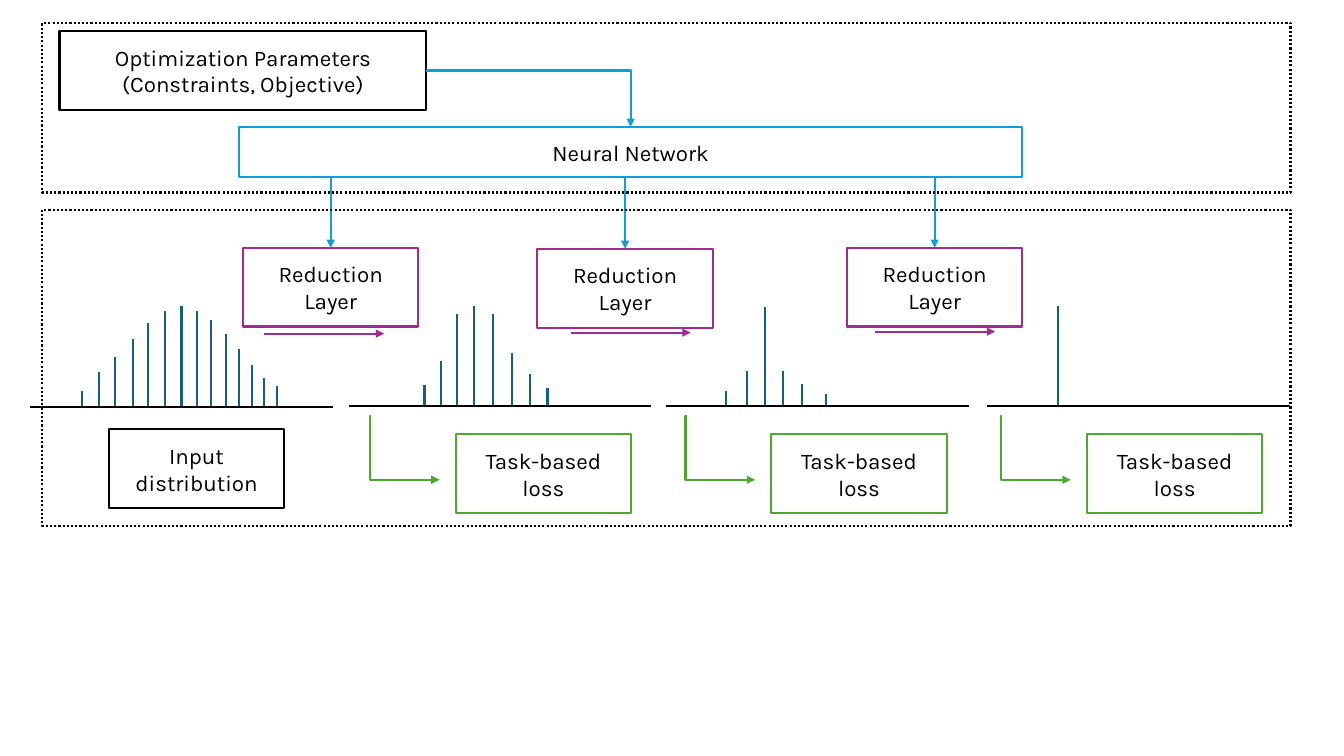
from lxml import etree
from pptx import Presentation
from pptx.dml.color import RGBColor
from pptx.enum.dml import MSO_LINE
from pptx.enum.shapes import MSO_CONNECTOR, MSO_SHAPE
from pptx.enum.text import MSO_ANCHOR, PP_ALIGN
from pptx.oxml.ns import qn
from pptx.util import Inches, Pt

BLACK = RGBColor(0x00, 0x00, 0x00)
WHITE = RGBColor(0xFF, 0xFF, 0xFF)
TEAL = RGBColor(0x15, 0x60, 0x82)
PURPLE = RGBColor(0xA0, 0x2B, 0x93)
GREEN = RGBColor(0x4E, 0xA7, 0x2E)
BLUE = RGBColor(0x0F, 0x9E, 0xD5)

BOX_WIDTH, BOX_HEIGHT = 1.74, 0.78
AXIS_LENGTH = 3
LOSS_STEP = 3.13

# Each distribution: axis left, axis height, and (x, top) of its bars
DISTRIBUTIONS = [
    (0.3, 4.04, [(0.81, 3.88), (0.98, 3.69), (1.14, 3.54), (1.32, 3.36), (1.47, 3.2),
                 (1.64, 3.09), (1.8, 3.04), (1.95, 3.09), (2.09, 3.17), (2.24, 3.31),
                 (2.37, 3.46), (2.5, 3.62), (2.62, 3.75), (2.75, 3.83)]),
    (3.46, 4.03, [(4.21, 3.82), (4.37, 3.58), (4.53, 3.12), (4.7, 3.04),
                  (4.89, 3.12), (5.08, 3.5), (5.26, 3.71), (5.43, 3.85)]),
    (6.61, 4.03, [(7.2, 3.88), (7.41, 3.68), (7.59, 3.05), (7.77, 3.68),
                  (7.95, 3.81), (8.19, 3.91)]),
    (9.79, 4.03, [(10.49, 3.04)]),
]
# Each reduction layer: box left, box top, arrow left, arrow height
REDUCTIONS = [(2.41, 2.46, 2.62, 3.31), (5.33, 2.47, 5.66, 3.3), (8.4, 2.46, 8.68, 3.29)]


class Diagram:
    font = "Karla"
    font_size = Pt(16)
    line_width = Pt(1.5)

    def __init__(self, slide):
        self.slide = slide

    def frame(self, left, top, width, height, color, fill=None):
        shape = self.slide.shapes.add_shape(
            MSO_SHAPE.RECTANGLE, Inches(left), Inches(top), Inches(width), Inches(height))
        shape.shadow.inherit = False
        if fill is None:
            shape.fill.background()
        else:
            shape.fill.solid()
            shape.fill.fore_color.rgb = fill
        shape.line.color.rgb = color
        shape.line.width = self.line_width
        return shape

    def box(self, text, left, top, color, width=BOX_WIDTH, height=BOX_HEIGHT, fill=WHITE):
        shape = self.frame(left, top, width, height, color, fill)
        shape.text_frame.word_wrap = True
        shape.text_frame.vertical_anchor = MSO_ANCHOR.MIDDLE
        paragraph = shape.text_frame.paragraphs[0]
        paragraph.text = text
        paragraph.alignment = PP_ALIGN.CENTER
        paragraph.font.name = self.font
        paragraph.font.size = self.font_size
        paragraph.font.color.rgb = BLACK
        return shape

    def dotted_frame(self, left, top, width, height):
        self.frame(left, top, width, height, BLACK).line.dash_style = MSO_LINE.ROUND_DOT

    def line(self, start, end, color, kind=MSO_CONNECTOR.STRAIGHT):
        x1, y1, x2, y2 = (Inches(value) for value in (*start, *end))
        connector = self.slide.shapes.add_connector(kind, x1, y1, x2, y2)
        connector.line.color.rgb = color
        connector.line.width = self.line_width
        etree.SubElement(connector.element.spPr, qn("a:effectLst"))
        return connector

    def arrow(self, start, end, color, kind=MSO_CONNECTOR.STRAIGHT):
        connector = self.line(start, end, color, kind)
        outline = connector.element.spPr.find(qn("a:ln"))
        etree.SubElement(outline, qn("a:tailEnd"), type="triangle")
        return connector

    def corner_arrow(self, start, end, color):
        """Arrow that runs across, then down."""
        connector = self.arrow(start, end, color, MSO_CONNECTOR.ELBOW)
        connector.element.spPr.find(qn("a:prstGeom")).set("prst", "bentConnector2")
        return connector

    def drop_arrow(self, start, end, color):
        """Arrow that runs down, then across."""
        connector = self.arrow(start, end, color, MSO_CONNECTOR.ELBOW)
        adjustments = connector.element.spPr.find(qn("a:prstGeom")).get_or_add_avLst()
        etree.SubElement(adjustments, qn("a:gd"), name="adj1", fmla="val -1600")
        return connector


def main():
    presentation = Presentation()
    presentation.slide_width = Inches(13.33)
    presentation.slide_height = Inches(7.5)
    diagram = Diagram(presentation.slides.add_slide(presentation.slide_layouts[6]))

    for axis_left, axis_y, bars in DISTRIBUTIONS:
        for x, top in bars:
            diagram.line((x, top), (x, axis_y), TEAL)
        diagram.line((axis_left, axis_y), (axis_left + AXIS_LENGTH, axis_y), BLACK)

    parameters = diagram.box("Optimization Parameters (Constraints, Objective)",
                             0.59, 0.31, BLACK, width=3.64)
    network = diagram.box("Neural Network", 2.37, 1.26, BLUE, width=7.77, height=0.5)
    parameters_arrow = diagram.corner_arrow((4.23, 0.7), (6.26, 1.26), BLUE)
    parameters_arrow.begin_connect(parameters, 3)
    parameters_arrow.end_connect(network, 0)

    for left, top, arrow_left, arrow_y in REDUCTIONS:
        diagram.arrow((arrow_left, arrow_y), (arrow_left + 1.19, arrow_y), PURPLE)
        layer = diagram.box("Reduction Layer", left, top, PURPLE, fill=None)
        middle = left + BOX_WIDTH / 2
        diagram.arrow((middle, 1.76), (middle, top), BLUE).end_connect(layer, 0)

    diagram.box("Input distribution", 1.08, 4.26, BLACK)
    for index in range(3):
        offset = index * LOSS_STEP
        diagram.drop_arrow((3.68 + offset, 4.13), (4.36 + offset, 4.76), GREEN)
        diagram.box("Task-based loss", 4.52 + offset, 4.31, GREEN)

    diagram.dotted_frame(0.42, 0.23, 12.38, 1.68)
    diagram.dotted_frame(0.42, 2.08, 12.38, 3.14)
    presentation.save("out.pptx")


if __name__ == "__main__":
    main()
